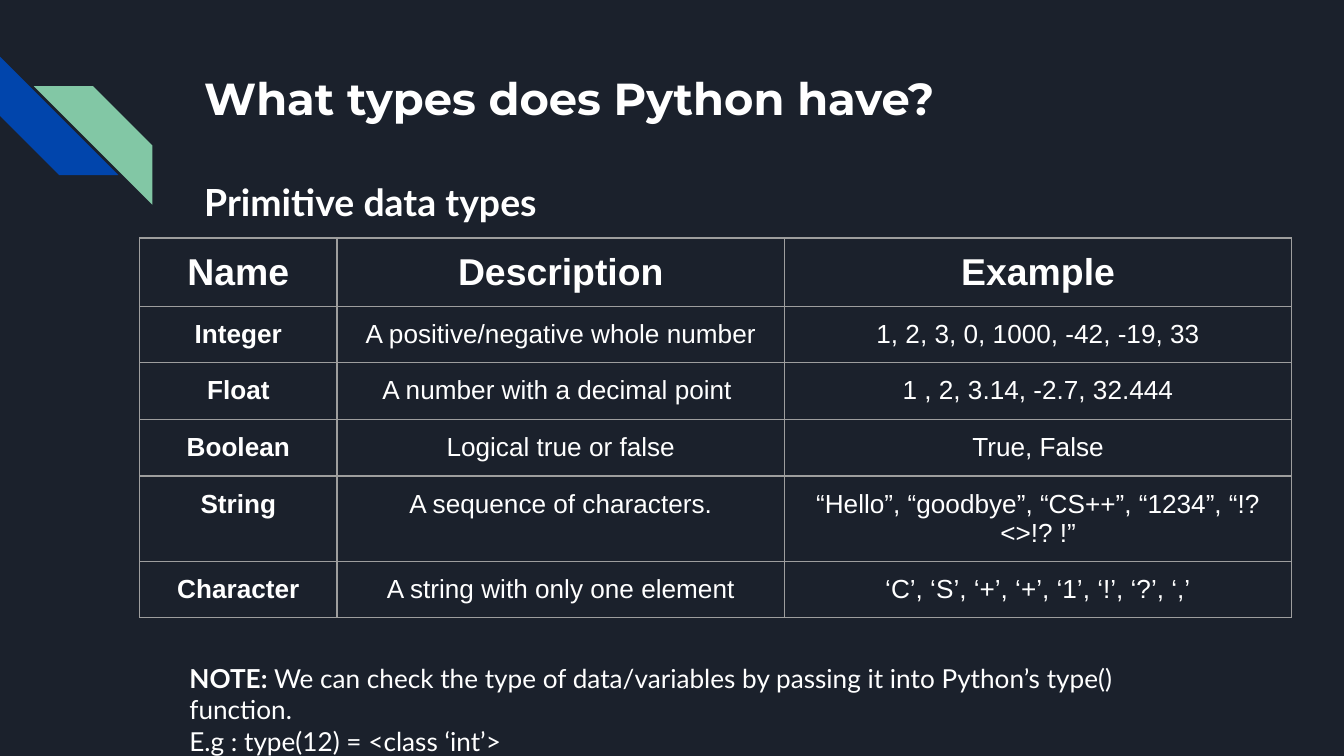
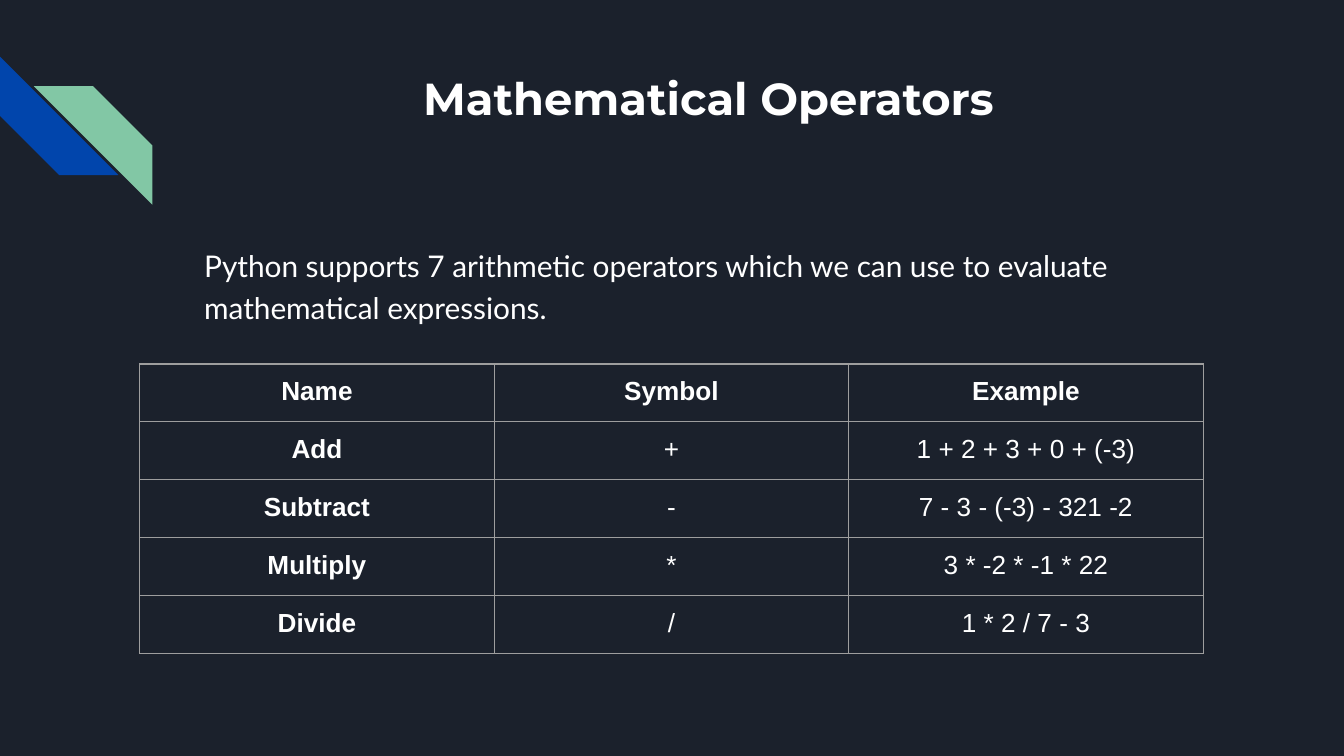
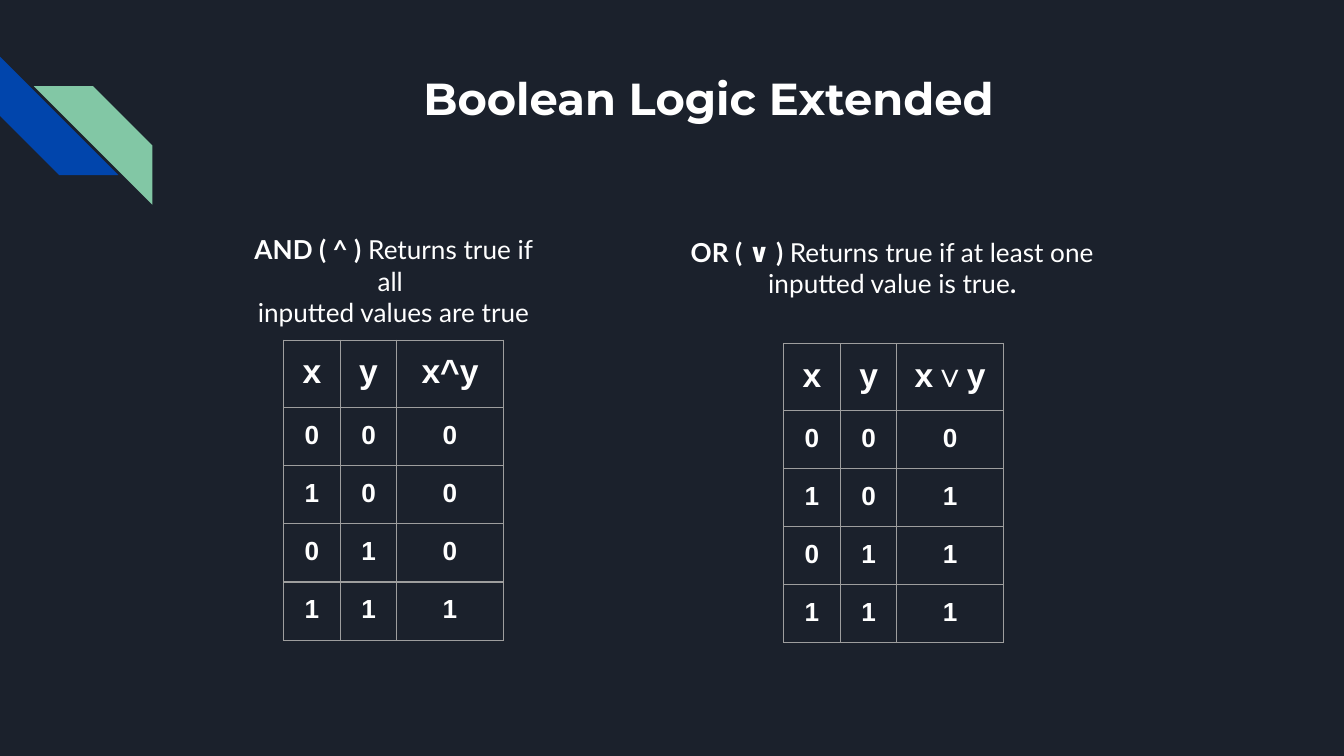
from dataclasses import dataclass

from lxml import etree
from pptx import Presentation
from pptx.dml.color import RGBColor
from pptx.enum.shapes import MSO_SHAPE
from pptx.enum.text import MSO_ANCHOR, MSO_AUTO_SIZE, PP_ALIGN
from pptx.oxml.ns import qn
from pptx.slide import Slide
from pptx.table import _Cell
from pptx.text.text import TextFrame
from pptx.util import Cm, Pt

LEFT, CENTER = PP_ALIGN.LEFT, PP_ALIGN.CENTER
TOP = MSO_ANCHOR.TOP
STRIPE = MSO_SHAPE.DIAGONAL_STRIPE
GROW, FIXED = MSO_AUTO_SIZE.SHAPE_TO_FIT_TEXT, MSO_AUTO_SIZE.NONE


@dataclass(frozen=True)
class Theme:
    background: str = "1B212C"
    text: str = "FFFFFF"
    border: str = "9E9E9E"
    blue: str = "0145AC"
    green: str = "82C7A5"
    title_font: str = "Montserrat"
    body_font: str = "Lato"
    table_font: str = "Arial"
    title_size: int = 24
    heading_size: int = 20
    lead_size: int = 16
    truth_header_size: int = 18
    text_size: int = 14
    border_width: float = 0.75
    inset: float = 0.25


THEME = Theme()


@dataclass(frozen=True)
class Box:
    """Position and size in centimetres."""
    left: float
    top: float
    width: float
    height: float


@dataclass(frozen=True)
class Span:
    text: str
    bold: bool = False


@dataclass(frozen=True)
class TextStyle:
    font: str
    size: int
    align: PP_ALIGN = LEFT
    line_spacing: float = 1.0


@dataclass(frozen=True)
class Stripe:
    box: Box
    color: str
    rotation: int = 0
    mirrored: bool = False


@dataclass(frozen=True)
class Grid:
    left: float
    top: float
    columns: tuple[float, ...]
    rows: list[tuple[str, ...]]
    header_height: float = 1.07
    row_height: float = 1.07
    header_size: int = THEME.text_size
    all_bold: bool = False


Paragraphs = list[list[Span]]

STRIPES = (
    Stripe(Box(0, 1.07, 2.24, 2.24), THEME.blue, rotation=270),
    Stripe(Box(0.64, 1.63, 2.24, 2.24), THEME.green, mirrored=True),
)
TITLE_BOX = Box(3.61, 1.09, 19.56, 2.54)
NOTE_STYLE = TextStyle(THEME.body_font, THEME.text_size)
CAPTION_STYLE = TextStyle(THEME.body_font, THEME.text_size, CENTER)

DATA_TYPES = Grid(2.64, 4.5, (3.73, 8.46, 9.58), [
    ("Name", "Description", "Example"),
    ("Integer", "A positive/negative whole number", "1, 2, 3, 0, 1000, -42, -19, 33"),
    ("Float", "A number with a decimal point ", "1 , 2, 3.14, -2.7, 32.444"),
    ("Boolean", "Logical true or false", "True, False"),
    ("String", "A sequence of characters.", "“Hello”, “goodbye”, “CS++”, “1234”, “!?<>!? !”"),
    ("Character", "A string with only one element", "‘C’, ‘S’, ‘+’, ‘+’, ‘1’, ‘!’, ‘?’, ‘,’"),
], header_size=THEME.heading_size)

OPERATORS = Grid(2.64, 6.88, (6.7,) * 3, [
    ("Name", "Symbol", "Example"),
    ("Add", "+", "1 + 2 + 3 + 0 + (-3)"),
    ("Subtract", "-", "7 - 3 - (-3) - 321 -2"),
    ("Multiply", "*", "3 * -2 * -1 * 22"),
    ("Divide", "/", "1 * 2 / 7 - 3"),
])

TRUTH_INPUTS = ((0, 0), (1, 0), (0, 1), (1, 1))
TRUTH_COLUMNS = (1.07, 1.07, 2.01)
AND_TABLE = Grid(
    5.36, 6.43, TRUTH_COLUMNS,
    [("x", "y", "x^y")] + [(str(x), str(y), str(x & y)) for x, y in TRUTH_INPUTS],
    1.27, 1.1, THEME.truth_header_size, all_bold=True)
OR_TABLE = Grid(
    14.81, 6.5, TRUTH_COLUMNS,
    [("x", "y", "x∨y")] + [(str(x), str(y), str(x | y)) for x, y in TRUTH_INPUTS],
    1.22, 1.02, THEME.truth_header_size, all_bold=True)


def write_text(text_frame: TextFrame, paragraphs: Paragraphs, style: TextStyle) -> None:
    for index, spans in enumerate(paragraphs):
        paragraph = text_frame.add_paragraph() if index else text_frame.paragraphs[0]
        paragraph.alignment = style.align
        paragraph.line_spacing = style.line_spacing
        for span in spans:
            run = paragraph.add_run()
            run.text = span.text
            run.font.name = style.font
            run.font.size = Pt(style.size)
            run.font.bold = span.bold
            run.font.color.rgb = RGBColor.from_string(THEME.text)


def add_text(slide: Slide, box: Box, paragraphs: Paragraphs, style: TextStyle,
             auto_size: MSO_AUTO_SIZE = FIXED) -> None:
    shape = slide.shapes.add_textbox(
        Cm(box.left), Cm(box.top), Cm(box.width), Cm(box.height))
    text_frame = shape.text_frame
    text_frame.word_wrap = True
    text_frame.auto_size = auto_size
    text_frame.vertical_anchor = TOP
    text_frame.margin_left = text_frame.margin_right = Cm(THEME.inset)
    text_frame.margin_top = text_frame.margin_bottom = Cm(THEME.inset)
    write_text(text_frame, paragraphs, style)


def add_stripe(slide: Slide, stripe: Stripe) -> None:
    box = stripe.box
    shape = slide.shapes.add_shape(
        STRIPE, Cm(box.left), Cm(box.top), Cm(box.width), Cm(box.height))
    shape.shadow.inherit = False
    shape.adjustments[0] = 0.5
    shape.rotation = stripe.rotation
    shape.fill.solid()
    shape.fill.fore_color.rgb = RGBColor.from_string(stripe.color)
    shape.line.fill.background()
    if stripe.mirrored:
        shape.element.spPr.find(qn("a:xfrm")).set("flipH", "1")


def add_borders(cell: _Cell) -> None:
    properties = cell._tc.get_or_add_tcPr()
    for side in ("a:lnL", "a:lnR", "a:lnT", "a:lnB"):
        line = etree.SubElement(properties, qn(side), w=str(Pt(THEME.border_width)))
        fill = etree.SubElement(line, qn("a:solidFill"))
        etree.SubElement(fill, qn("a:srgbClr"), val=THEME.border)


def add_grid(slide: Slide, grid: Grid) -> None:
    heights = [grid.header_height] + [grid.row_height] * (len(grid.rows) - 1)
    table = slide.shapes.add_table(
        len(grid.rows), len(grid.columns), Cm(grid.left), Cm(grid.top),
        Cm(sum(grid.columns)), Cm(sum(heights))).table
    table.first_row = table.horz_banding = False
    for column, width in zip(table.columns, grid.columns):
        column.width = Cm(width)
    for row_index, texts in enumerate(grid.rows):
        table.rows[row_index].height = Cm(heights[row_index])
        size = THEME.text_size if row_index else grid.header_size
        style = TextStyle(THEME.table_font, size, CENTER)
        for column_index, text in enumerate(texts):
            cell = table.cell(row_index, column_index)
            cell.margin_left = cell.margin_right = Cm(THEME.inset)
            cell.margin_top = cell.margin_bottom = Cm(THEME.inset)
            add_borders(cell)
            cell.fill.background()
            bold = grid.all_bold or row_index == 0 or column_index == 0
            write_text(cell.text_frame, [[Span(text, bold)]], style)


def add_titled_slide(presentation: Presentation, title: str, align: PP_ALIGN = CENTER) -> Slide:
    slide = presentation.slides.add_slide(presentation.slide_layouts[6])
    slide.background.fill.solid()
    slide.background.fill.fore_color.rgb = RGBColor.from_string(THEME.background)
    for stripe in STRIPES:
        add_stripe(slide, stripe)
    add_text(slide, TITLE_BOX, [[Span(title, True)]],
             TextStyle(THEME.title_font, THEME.title_size, align))
    return slide


def build_types_slide(presentation: Presentation) -> None:
    slide = add_titled_slide(presentation, "What types does Python have?", LEFT)
    add_text(slide, Box(3.61, 3.1, 19.56, 8.08), [[Span("Primitive data types", True)]],
             TextStyle(THEME.body_font, THEME.heading_size, line_spacing=1.05))
    add_grid(slide, DATA_TYPES)
    add_text(slide, Box(3.33, 12.27, 19.84, 1.7), [
        [Span("NOTE: ", True),
         Span("We can check the type of data/variables by passing it into Python’s type() function.")],
        [Span("E.g : type(12) = <class ‘int’>")],
    ], NOTE_STYLE, GROW)


def build_operators_slide(presentation: Presentation) -> None:
    slide = add_titled_slide(presentation, "Mathematical Operators")
    add_text(slide, Box(3.61, 4.34, 19.56, 8.08), [[Span(
        "Python supports 7 arithmetic operators which we can use to evaluate "
        "mathematical expressions.")]],
        TextStyle(THEME.body_font, THEME.lead_size, line_spacing=1.15))
    add_grid(slide, OPERATORS)


def build_logic_slide(presentation: Presentation) -> None:
    slide = add_titled_slide(presentation, "Boolean Logic Extended")
    add_grid(slide, AND_TABLE)
    add_grid(slide, OR_TABLE)
    add_text(slide, Box(4.29, 4.17, 6.3, 1.7), [
        [Span("AND ( ^ )", True), Span(" Returns true if all ")],
        [Span("inputted values are true")],
    ], CAPTION_STYLE, GROW)
    add_text(slide, Box(12.65, 4.22, 8.43, 1.7), [
        [Span("OR ( ∨ ) ", True),
         Span("Returns true if at least one inputted value is true"),
         Span(".", True)],
    ], CAPTION_STYLE, GROW)


def main() -> None:
    presentation = Presentation()
    presentation.slide_width = Cm(25.4)
    presentation.slide_height = Cm(14.29)
    build_types_slide(presentation)
    build_operators_slide(presentation)
    build_logic_slide(presentation)
    presentation.save("out.pptx")


if __name__ == "__main__":
    main()
